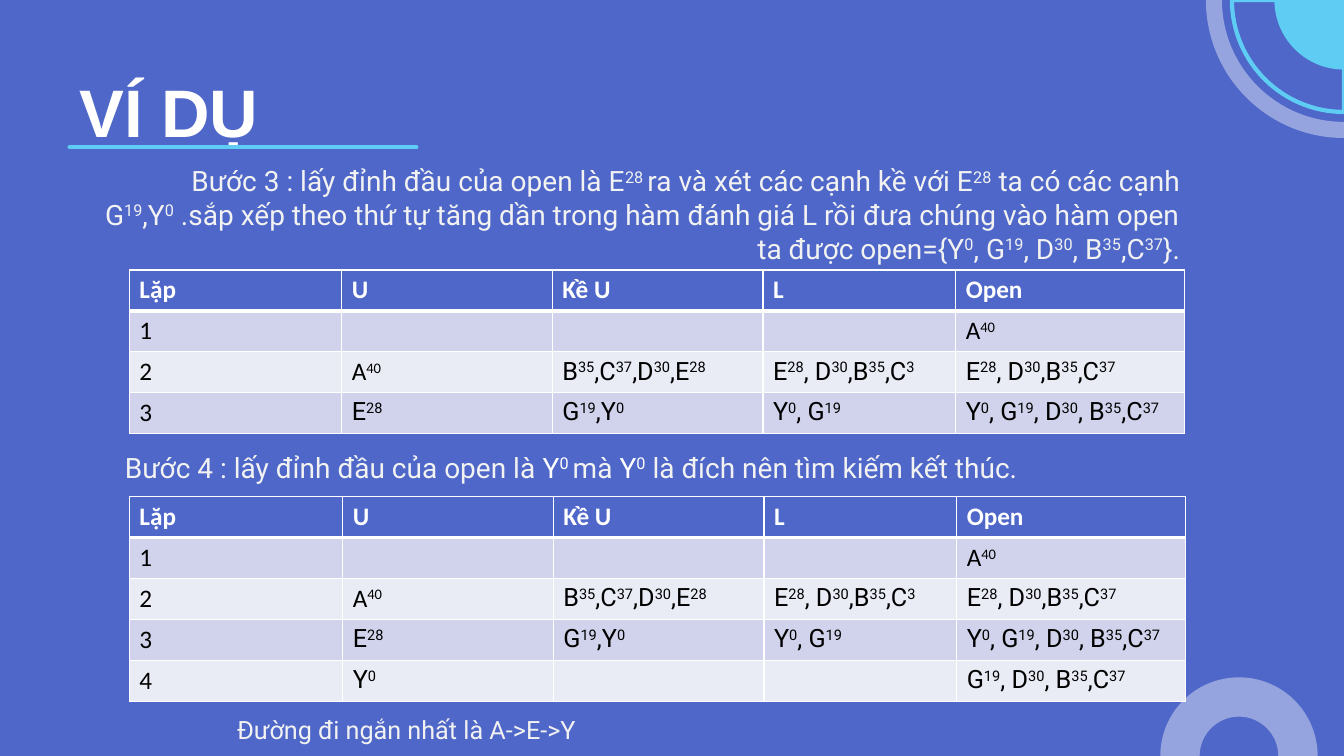
from dataclasses import dataclass
from math import cos, radians, sin

from lxml import etree
from pptx import Presentation
from pptx.dml.color import RGBColor as RGB
from pptx.enum.shapes import MSO_CONNECTOR as CONN
from pptx.enum.text import MSO_ANCHOR as ANCHOR
from pptx.enum.text import MSO_AUTO_SIZE as FIT
from pptx.enum.text import PP_ALIGN as ALIGN
from pptx.oxml.ns import qn
from pptx.util import Pt


@dataclass(frozen=True)
class Theme:
    blue: str = "4E67C8"
    cyan: str = "5ECCF3"
    lilac: str = "95A4DE"
    white: str = "FFFFFF"
    pale: str = "F2F2F2"
    black: str = "000000"
    bands: tuple = ("D0D3EB", "E9EBF5")
    title_font: str = "Arial"
    body_font: str = "Roboto"
    table_font: str = "Calibri"
    title_size: int = 48
    body_size: int = 20
    small_size: int = 18


def write(p, text, *, font, size, color, accent=None, bold=False, align=ALIGN.LEFT):
    """Fill a paragraph; ^ marks enclose superscript, * marks enclose accent colour."""
    p.alignment = align
    for i, phrase in enumerate(text.split("*")):
        for j, part in enumerate(phrase.split("^")):
            if not part:
                continue
            r = p.add_run()
            r.text = part
            r.font.name = font
            r.font.size = Pt(size)
            r.font.bold = bold
            r.font.color.rgb = RGB.from_string(accent if i % 2 else color)
            if j % 2:
                r._r.get_or_add_rPr().set("baseline", "30000")


def quarter(cx, cy, radius, start, turn=1):
    """Return the start point and the Bezier segment of a quarter circle."""
    def at(angle):
        return cos(radians(angle)), sin(radians(angle))

    (ux, uy), (vx, vy) = at(start), at(start + 90 * turn)
    k = 0.5523
    units = [(ux, uy), (ux + k * vx, uy + k * vy), (vx + k * ux, vy + k * uy), (vx, vy)]
    points = [(cx + radius * x, cy + radius * y) for x, y in units]
    return points[0], points[1:]


class SlideBuilder:
    def __init__(self, slide, theme):
        self.slide = slide
        self.shapes = slide.shapes
        self.theme = theme
        fill = slide.background.fill
        fill.solid()
        fill.fore_color.rgb = RGB.from_string(theme.blue)

    def open_group(self):
        self.shapes = self.slide.shapes.add_group_shape().shapes

    def close_group(self):
        self.shapes = self.slide.shapes

    def outline(self, start, segments, fill=None, line=None):
        """Draw a closed shape; a segment of one point is straight, of three is a curve."""
        fb = self.shapes.build_freeform(Pt(start[0]), Pt(start[1]), scale=1.0)
        fb.add_line_segments([(Pt(x), Pt(y)) for seg in segments for x, y in seg], close=True)
        sp = fb.convert_to_shape()
        steps = iter(list(sp._element.iter(qn("a:lnTo"))))
        for seg in segments:
            parts = [next(steps) for _ in seg]
            if len(parts) == 3:
                curve = etree.Element(qn("a:cubicBezTo"))
                parts[0].addprevious(curve)
                for part in parts:
                    curve.append(part[0])
                    part.getparent().remove(part)
        sp.shadow.inherit = False
        if fill:
            sp.fill.solid()
            sp.fill.fore_color.rgb = RGB.from_string(fill)
        else:
            sp.fill.background()
        if line:
            sp.line.color.rgb = RGB.from_string(line)
            sp.line.width = Pt(3)
        else:
            sp.line.fill.background()
        return sp

    def title(self, x, y, w, h, text, **fmt):
        tf = self.shapes.add_textbox(Pt(x), Pt(y), Pt(w), Pt(h)).text_frame
        tf.word_wrap = False
        tf.auto_size = FIT.SHAPE_TO_FIT_TEXT
        write(tf.paragraphs[0], text, **fmt)

    def body(self, x, y, w, h, text, size):
        sp = self.outline((x, y), [[(x + w, y)], [(x + w, y + h)], [(x, y + h)]])
        tf = sp.text_frame
        tf.word_wrap = True
        tf.auto_size = FIT.SHAPE_TO_FIT_TEXT
        tf.vertical_anchor = ANCHOR.TOP
        tf.margin_left = tf.margin_right = tf.margin_top = tf.margin_bottom = Pt(4)
        write(tf.paragraphs[0], text, font=self.theme.body_font, size=size,
              color=self.theme.pale, accent=self.theme.white, align=ALIGN.RIGHT)

    def rule(self, x1, x2, y, color, width):
        line = self.shapes.add_connector(CONN.STRAIGHT, Pt(x1), Pt(y), Pt(x2), Pt(y))
        line.line.color.rgb = RGB.from_string(color)
        line.line.width = Pt(width)
        line.line._get_or_add_ln().set("cap", "rnd")
        etree.SubElement(line._element.spPr, qn("a:effectLst"))

    def corner_disc(self, cx, cy, radius, **style):
        start, curve = quarter(cx, cy, radius, 180, -1)
        self.outline(start, [curve, [(cx, cy)], [start]], **style)

    def ring(self, cx, cy, outer, inner, start, quarters, turn, fill):
        angles = [start + 90 * turn * i for i in range(quarters)]
        end = start + 90 * turn * quarters
        first, _ = quarter(cx, cy, outer, start, turn)
        inner_first, _ = quarter(cx, cy, inner, end, -turn)
        segments = [quarter(cx, cy, outer, a, turn)[1] for a in angles]
        segments.append([inner_first])
        segments += [quarter(cx, cy, inner, a + 90 * turn, -turn)[1] for a in reversed(angles)]
        self.outline(first, segments, fill=fill)

    def borders(self, cell, top, bottom):
        tc_pr = cell._tc.get_or_add_tcPr()
        for side, width in (("L", 1), ("R", 1), ("T", top), ("B", bottom)):
            ln = etree.SubElement(tc_pr, qn(f"a:ln{side}"), w=str(Pt(width)))
            solid = etree.SubElement(ln, qn("a:solidFill"))
            etree.SubElement(solid, qn("a:srgbClr"), val=self.theme.white)

    def table(self, x, y, widths, row_height, rows):
        t = self.theme
        table = self.shapes.add_table(len(rows), len(widths), Pt(x), Pt(y), Pt(sum(widths)),
                                      Pt(row_height * len(rows))).table
        for column, width in zip(table.columns, widths):
            column.width = Pt(width)
        for i, values in enumerate(rows):
            table.rows[i].height = Pt(row_height)
            head = i == 0
            for j, value in enumerate(values):
                cell = table.cell(i, j)
                self.borders(cell, top=3 if i == 1 else 1, bottom=3 if head else 1)
                cell.fill.solid()
                cell.fill.fore_color.rgb = RGB.from_string(t.blue if head else t.bands[(i - 1) % 2])
                plain = head or j == 0 or value == START
                write(cell.text_frame.paragraphs[0], value,
                      font=t.table_font if plain else t.body_font, size=t.small_size,
                      color=t.white if head else t.black, bold=head)


START = "A^40^"
STEPS = [
    ["Lặp", "U", "Kề U", "L", "Open"],
    ["1", "", "", "", START],
    ["2", START, "B^35^,C^37^,D^30^,E^28^", "E^28^, D^30^,B^35^,C^3^", "E^28^, D^30^,B^35^,C^37^"],
    ["3", "E^28^", "G^19^,Y^0^", "Y^0^, G^19^", "Y^0^, G^19^, D^30^, B^35^,C^37^"],
]
LAST_STEP = ["4", "Y^0^", "", "", "G^19^, D^30^, B^35^,C^37^"]
STEP_3 = ("Bước 3 : lấy đỉnh đầu của open là E^28 ^ra và xét các cạnh kề với E^28^ ta có các cạnh "
          "G^19^,Y^0^ .sắp xếp theo thứ tự tăng dần trong hàm đánh giá L rồi đưa chúng vào hàm open "
          "ta được open={Y^0^, G^19^, D^30^, B^35^,C^37^}.")
STEP_4 = "Bước 4 : lấy đỉnh đầu của open là *Y^0 ^*mà *Y^0^* là đích nên tìm kiếm kết thúc."


def main():
    prs = Presentation()
    prs.slide_width, prs.slide_height = Pt(960), Pt(540)
    t = Theme()
    s = SlideBuilder(prs.slides.add_slide(prs.slide_layouts[6]), t)

    s.open_group()
    s.title(49.7, 46.8, 247, 59, "VÍ DỤ", font=t.title_font, size=t.title_size,
            color=t.white, bold=True)
    s.body(49.9, 113, 797, 80.6, STEP_3, t.body_size)
    s.rule(49.7, 297.4, 105.1, t.cyan, 3)
    s.close_group()

    s.ring(885, 540, 56.2, 28.1, 180, 2, 1, t.lilac)
    s.open_group()
    s.corner_disc(960, 0, 80, line=t.cyan)
    s.corner_disc(960, 0, 49.7, fill=t.cyan)
    s.ring(960, 0, 98.6, 87.1, 180, 1, -1, t.lilac)
    s.close_group()

    widths = [150.4, 150.5, 137.7, 163.6]
    s.table(92.4, 192.8, [151.7, *widths], 29.2, STEPS)
    s.body(82.8, 317.5, 648, 32.4, STEP_4, t.body_size)
    s.table(92.4, 354.8, [152.4, *widths], 29.2, STEPS + [LAST_STEP])
    s.body(123.8, 506.2, 291.6, 30.2, "Đường đi ngắn nhất là A->E->Y", t.small_size)

    prs.save("out.pptx")


if __name__ == "__main__":
    main()
